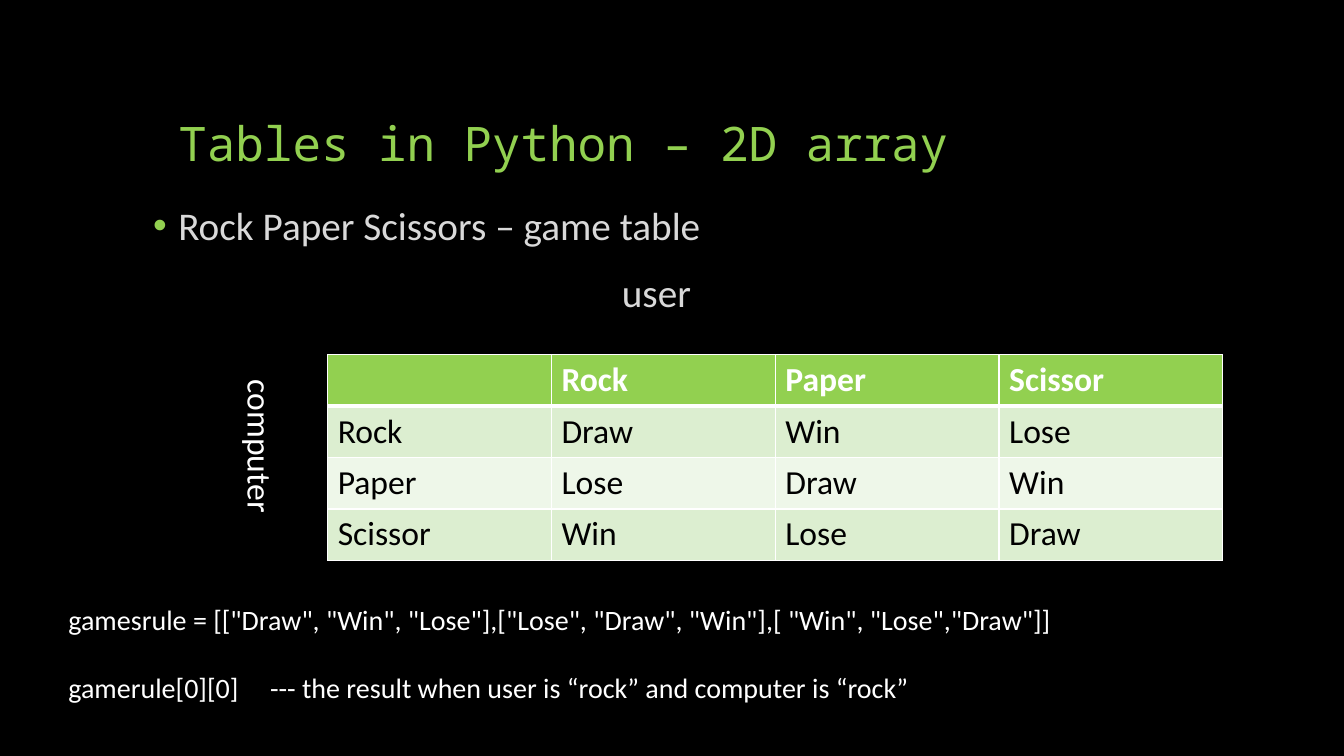
import dataclasses

import pptx
import pptx.dml.color
import pptx.enum.text
import pptx.oxml
import pptx.oxml.ns
import pptx.util

Inches = pptx.util.Inches
Pt = pptx.util.Pt
RGB = pptx.dml.color.RGBColor.from_string
ALIGN = pptx.enum.text.PP_ALIGN
ANCHOR = pptx.enum.text.MSO_ANCHOR


@dataclasses.dataclass(frozen=True)
class Theme:
    background: str = "000000"
    accent: str = "92D050"
    muted: str = "D9D9D9"
    light: str = "FFFFFF"
    dark: str = "000000"
    bands: tuple = ("DCEED0", "EEF7E9")
    body_font: str = "Calibri"
    title_font: str = "Noto Sans Mono"
    title_size: int = 34
    lead_size: int = 28
    label_size: int = 24
    code_size: int = 20


THEME = Theme()

CHOICES = ["Rock", "Paper", "Scissor"]
RESULTS = [
    ["Draw", "Win", "Lose"],
    ["Lose", "Draw", "Win"],
    ["Win", "Lose", "Draw"],
]


def apply(target, values):
    for name, value in values.items():
        setattr(target, name, value)


def write(paragraph, text, size, color, font=THEME.body_font, bold=False, **layout):
    run = paragraph.add_run()
    run.text = text
    apply(run.font, {"name": font, "size": Pt(size), "bold": bold})
    run.font.color.rgb = RGB(color)
    apply(paragraph, {"alignment": ALIGN.LEFT, **layout})


def append_xml(parent, xml):
    namespace = pptx.oxml.ns.nsdecls("a")
    parent.append(pptx.oxml.parse_xml(xml.replace("XMLNS", namespace)))


def add_frame(slide, left, top, width, height):
    box = slide.shapes.add_textbox(
        Inches(left), Inches(top), Inches(width), Inches(height))
    box.text_frame.word_wrap = True
    return box.text_frame


def add_title(slide, text):
    title = slide.shapes.title
    apply(title, {"left": Inches(1.67), "top": Inches(0.5),
                  "width": Inches(10), "height": Inches(1.25)})
    title.text_frame.vertical_anchor = ANCHOR.BOTTOM
    write(title.text_frame.paragraphs[0], text, THEME.title_size, THEME.accent,
          THEME.title_font, line_spacing=0.9)


def add_lead(slide, topic, column_heading):
    frame = add_frame(slide, 1.42, 2, 10.25, 4.67)
    spacing = {"line_spacing": 0.9, "space_before": Pt(18)}

    bullet = frame.paragraphs[0]
    write(bullet, topic, THEME.lead_size, THEME.muted, **spacing)
    properties = bullet._p.get_or_add_pPr()
    apply_indent(properties, 0.25, -0.25)
    append_xml(properties,
               f'<a:buClr XMLNS><a:srgbClr val="{THEME.accent}"/></a:buClr>')
    append_xml(properties, '<a:buFont XMLNS typeface="Arial"/>')
    append_xml(properties, '<a:buChar XMLNS char="•"/>')

    heading = frame.add_paragraph()
    write(heading, column_heading, THEME.lead_size, THEME.muted, **spacing)
    apply_indent(heading._p.get_or_add_pPr(), 4.65, 0)


def apply_indent(properties, margin, indent):
    properties.set("marL", str(Inches(margin)))
    properties.set("indent", str(Inches(indent)))


def set_borders(cell, widths):
    properties = cell._tc.get_or_add_tcPr()
    for side, width in widths.items():
        append_xml(properties,
                   f'<a:{side} XMLNS w="{Pt(width)}"><a:solidFill>'
                   f'<a:srgbClr val="{THEME.light}"/></a:solidFill></a:{side}>')


def add_game_table(slide):
    rows = [["", *CHOICES]]
    rows += [[choice, *results] for choice, results in zip(CHOICES, RESULTS)]
    count = len(rows)
    row_height, column_width = Inches(0.51), Inches(2.22)
    table = slide.shapes.add_table(
        count, count, Inches(3.25), Inches(3.52),
        column_width * count, row_height * count).table

    for row, values in enumerate(rows):
        header = row == 0
        fill = THEME.accent if header else THEME.bands[(row - 1) % 2]
        borders = {"lnL": 1, "lnR": 1,
                   "lnT": 3 if row == 1 else 1, "lnB": 3 if header else 1}
        for column, value in enumerate(values):
            cell = table.cell(row, column)
            set_borders(cell, borders)
            cell.fill.solid()
            cell.fill.fore_color.rgb = RGB(fill)
            paragraph = cell.text_frame.paragraphs[0]
            if value:
                write(paragraph, value, THEME.label_size,
                      THEME.light if header else THEME.dark, bold=header)
            else:
                paragraph.font.size = Pt(THEME.label_size)


def add_row_heading(slide, text):
    frame = add_frame(slide, 2.23, 3.67, 0.61, 1.92)
    frame._txBody.bodyPr.set("vert", "eaVert")
    write(frame.paragraphs[0], text, THEME.label_size, THEME.light)


def add_code(slide, definition, lookup):
    frame = add_frame(slide, 0.58, 5.93, 12.42, 1.11)
    write(frame.paragraphs[0], definition, THEME.code_size, THEME.light)

    # The explanation starts at a tab stop after the expression
    example = frame.add_paragraph()
    write(example, "\t".join(lookup), THEME.code_size, THEME.light,
          space_before=Pt(24.4))
    append_xml(example._p.get_or_add_pPr(),
               f'<a:tabLst XMLNS><a:tab pos="{Inches(2)}" algn="l"/></a:tabLst>')


def main():
    deck = pptx.Presentation()
    apply(deck, {"slide_width": Inches(13.33), "slide_height": Inches(7.5)})
    slide = deck.slides.add_slide(deck.slide_layouts[5])
    slide.background.fill.solid()
    slide.background.fill.fore_color.rgb = RGB(THEME.background)

    # Title and topic
    add_title(slide, "Tables in Python – 2D array")
    add_lead(slide, "Rock Paper Scissors – game table", "user")

    # Game table with its row heading
    add_game_table(slide)
    add_row_heading(slide, "computer")

    # The same table as code
    add_code(
        slide,
        'gamesrule = [["Draw", "Win", "Lose"],["Lose", "Draw", "Win"],'
        '[ "Win", "Lose","Draw"]]',
        ["gamerule[0][0]",
         "--- the result when user is “rock” and computer is “rock”"])

    deck.save("out.pptx")


if __name__ == "__main__":
    main()
